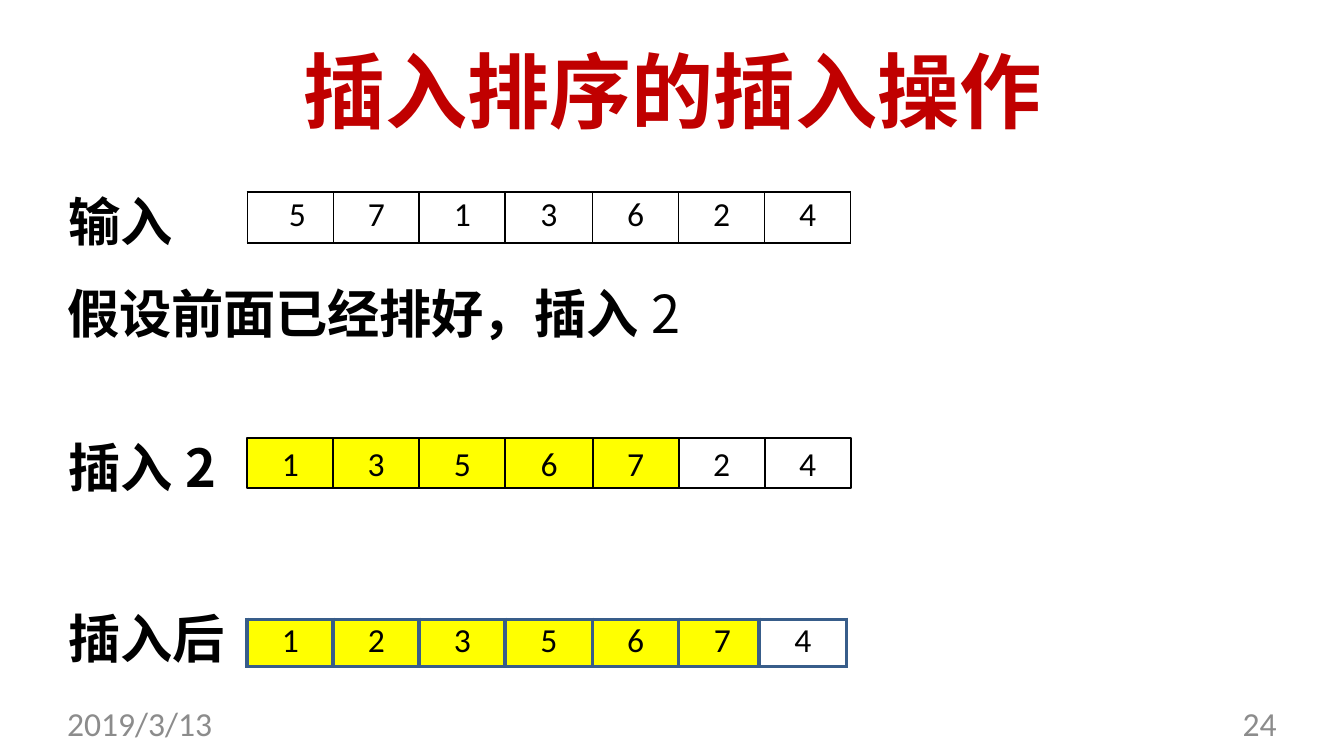
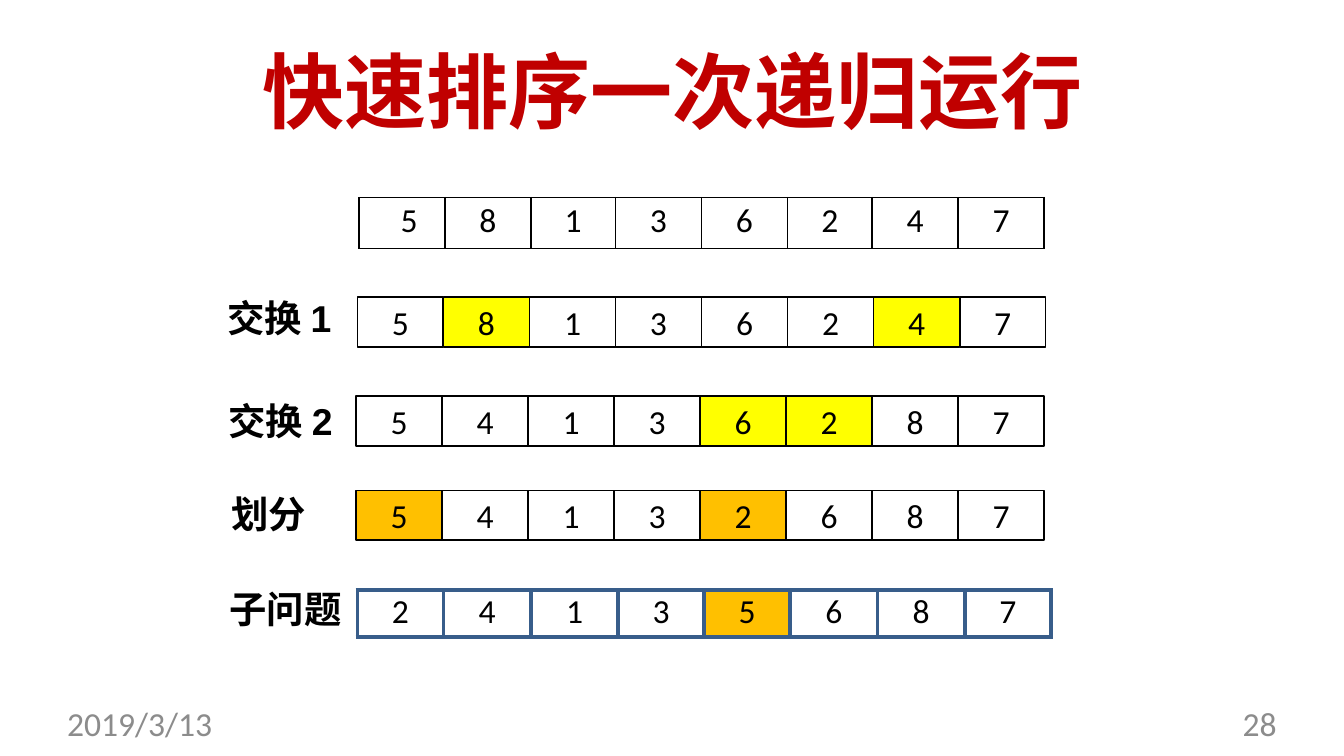
from lxml.etree import SubElement
from pptx import Presentation
from pptx.dml.color import RGBColor
from pptx.enum.shapes import MSO_SHAPE
from pptx.enum.text import MSO_ANCHOR, MSO_AUTO_SIZE, PP_ALIGN
from pptx.oxml.ns import qn
from pptx.util import Emu, Pt

SCALE = 9144  # EMU per px, 100 px to the inch
HAN, LATIN, LABEL = "Noto Sans CJK SC", "Calibri", "Arial"
RED, BLACK, GRAY, BLUE = "C00000", "000000", "8C8C8C", "385D8A"
YELLOW, ORANGE = "FFFF00", "FFC000"


def px(n):
    return Emu(n * SCALE)


def rgb(code):
    return RGBColor.from_string(code)


def edges(total, count):
    return [round(total * i / count) for i in range(count + 1)]


def even(total, count):
    marks = edges(total, count)
    return [b - a for a, b in zip(marks, marks[1:])]


def indent(para, left):
    para._p.get_or_add_pPr().set("marL", str(px(left)))


class Deck:
    def __init__(self):
        self.prs = Presentation()
        self.prs.slide_width = px(1000)
        self.prs.slide_height = px(1000) * 9 // 16
        self.slide = None

    def style(self, run, size, font, color=BLACK, bold=False, space=0):
        run.font.size, run.font.bold = Pt(size), bold
        run.font.color.rgb = rgb(color)
        run.font.name = font
        props = run._r.get_or_add_rPr()
        SubElement(props, qn("a:ea")).set("typeface", font)
        if space:
            props.set("spc", str(space))

    def place(self, shape, box):
        shape.left, shape.top, shape.width, shape.height = map(px, box)

    def frame(self, shape, top=1, anchor=MSO_ANCHOR.MIDDLE):
        """Set the margins and fitting of a text frame."""
        body = shape.text_frame
        body.margin_left = body.margin_right = body.margin_bottom = 0
        body.margin_top = px(top)
        body.word_wrap = True
        body.auto_size = MSO_AUTO_SIZE.SHAPE_TO_FIT_TEXT
        body.vertical_anchor = anchor
        return body.paragraphs[0]

    def page(self, title, number):
        """Start a slide with its title, date and page number."""
        self.slide = self.prs.slides.add_slide(self.prs.slide_layouts[5])
        head = self.slide.shapes.title
        self.place(head, (50, 29, 900, 75))
        para = self.frame(head)
        para.text = title
        para.alignment = PP_ALIGN.CENTER
        indent(para, 1)
        self.style(para.runs[0], 44, HAN, RED, True, -10)
        self.foot("2019/3/13", 50, PP_ALIGN.LEFT)
        self.foot(number, 720, PP_ALIGN.RIGHT)

    def foot(self, text, x, align):
        box = self.slide.shapes.add_textbox(*map(px, (x, 523, 230, 28)))
        para = self.frame(box, 0, MSO_ANCHOR.TOP)
        para.text = text
        para.alignment = align
        self.style(para.runs[0], 18, LATIN, GRAY)

    def label(self, box, size, text, font=HAN, tail="", face=HAN,
              bold=True, left=1):
        """Write a bold label, with an optional tail in another style."""
        shape = self.slide.shapes.add_textbox(*map(px, box))
        para = self.frame(shape)
        para.text = text
        indent(para, left)
        self.style(para.runs[0], size, font, bold=True, space=-10)
        if tail:
            run = para.add_run()
            run.text = tail
            self.style(run, size, face, bold=bold, space=-10)

    def cells(self, x, y, total, digits, marked=(), fill=YELLOW):
        """Draw an array as a row of boxes."""
        marks = edges(total, len(digits))
        for i, digit in enumerate(digits):
            box = (x + marks[i], y, marks[i + 1] - marks[i], 37)
            shape = self.slide.shapes.add_shape(
                MSO_SHAPE.RECTANGLE, *map(px, box))
            shape.shadow.inherit = False
            self.paint(shape.fill, fill if i in marked else None)
            shape.line.color.rgb = rgb(BLACK)
            shape.line.width = Pt(1)
            shape.text_frame.vertical_anchor = MSO_ANCHOR.MIDDLE
            self.digit(shape.text_frame, digit)

    def digit(self, body, text):
        body.text = text
        para = body.paragraphs[0]
        para.alignment = PP_ALIGN.CENTER
        self.style(para.runs[0], 18, LATIN)

    def paint(self, fill, color):
        if color:
            fill.solid()
            fill.fore_color.rgb = rgb(color)
        else:
            fill.background()

    def table(self, x, y, widths, high, digits, line, thick, top,
              marked=(), fill=YELLOW):
        """Draw an array as a table of one row."""
        box = map(px, (x, y, sum(widths), high))
        grid = self.slide.shapes.add_table(1, len(digits), *box).table
        grid.first_row = grid.horz_banding = False
        grid.rows[0].height = px(high)
        for i, text in enumerate(digits):
            grid.columns[i].width = px(widths[i])
            cell = grid.cell(0, i)
            cell.margin_left = cell.margin_right = cell.margin_bottom = 0
            cell.margin_top = px(top)
            self.digit(cell.text_frame, text)
            self.border(cell, line, thick)
            self.paint(cell.fill, fill if i in marked else None)
        return grid

    def border(self, cell, color, thick):
        props = cell._tc.get_or_add_tcPr()
        for side in ("a:lnL", "a:lnR", "a:lnT", "a:lnB"):
            edge = SubElement(props, qn(side), w=str(Pt(thick)))
            solid = SubElement(edge, qn("a:solidFill"))
            SubElement(solid, qn("a:srgbClr"), val=color)

    def input(self, x, y, total, digits):
        """Draw the unsorted array, its first digit indented."""
        grid = self.table(x, y, even(total, len(digits)), 38, digits,
                          BLACK, 1, 2)
        para = grid.cell(0, 0).text_frame.paragraphs[0]
        para.alignment = PP_ALIGN.LEFT
        indent(para, 31)

    def result(self, x, y, widths, digits, marked, fill):
        return self.table(x, y, widths, 35, digits, BLUE, 2.25, 1,
                          marked, fill)


def insert(deck):
    deck.page("插入排序的插入操作", "24")
    # Input
    deck.label((50, 140, 362, 48), 28, "输入")
    deck.input(184, 143, 449, "5713624")
    deck.label((50, 208, 900, 48), 28, "假设前面已经排好，插入",
               tail="2", bold=False, left=0)
    # Before and after the insertion
    deck.label((50, 323, 112, 48), 28, "插入2")
    deck.cells(184, 326, 449, "1356724", range(5))
    deck.label((50, 450, 135, 48), 28, "插入后")
    grid = deck.result(184, 461, [64, 64, 64, 65, 64, 60, 65], "1235674",
                       range(6), YELLOW)
    indent(grid.cell(0, 5).text_frame.paragraphs[0], 5)


def quick(deck):
    deck.page("快速排序一次递归运行", "28")
    deck.input(267, 147, 510, "58136247")
    # Swaps and partition
    steps = [
        (168, 218, "交换", "1", 266, 221, "58136247", (1, 6), YELLOW),
        (169, 295, "交换", "2", 265, 295, "54136287", (4, 5), YELLOW),
        (171, 364, "划分", "", 265, 365, "54132687", (0, 4), ORANGE),
    ]
    for left, top, name, tail, x, y, digits, marked, fill in steps:
        deck.label((left, top, 86, 35), 20, name, tail=tail, face=LABEL)
        deck.cells(x, y, 512, digits, marked, fill)
    # Subproblems on both sides of the pivot
    deck.label((170, 435, 86, 35), 20, "子问题", LABEL)
    deck.result(266, 439, even(516, 8), "24135687", (4,), ORANGE)


def main():
    deck = Deck()
    insert(deck)
    quick(deck)
    deck.prs.save("out.pptx")


if __name__ == "__main__":
    main()
